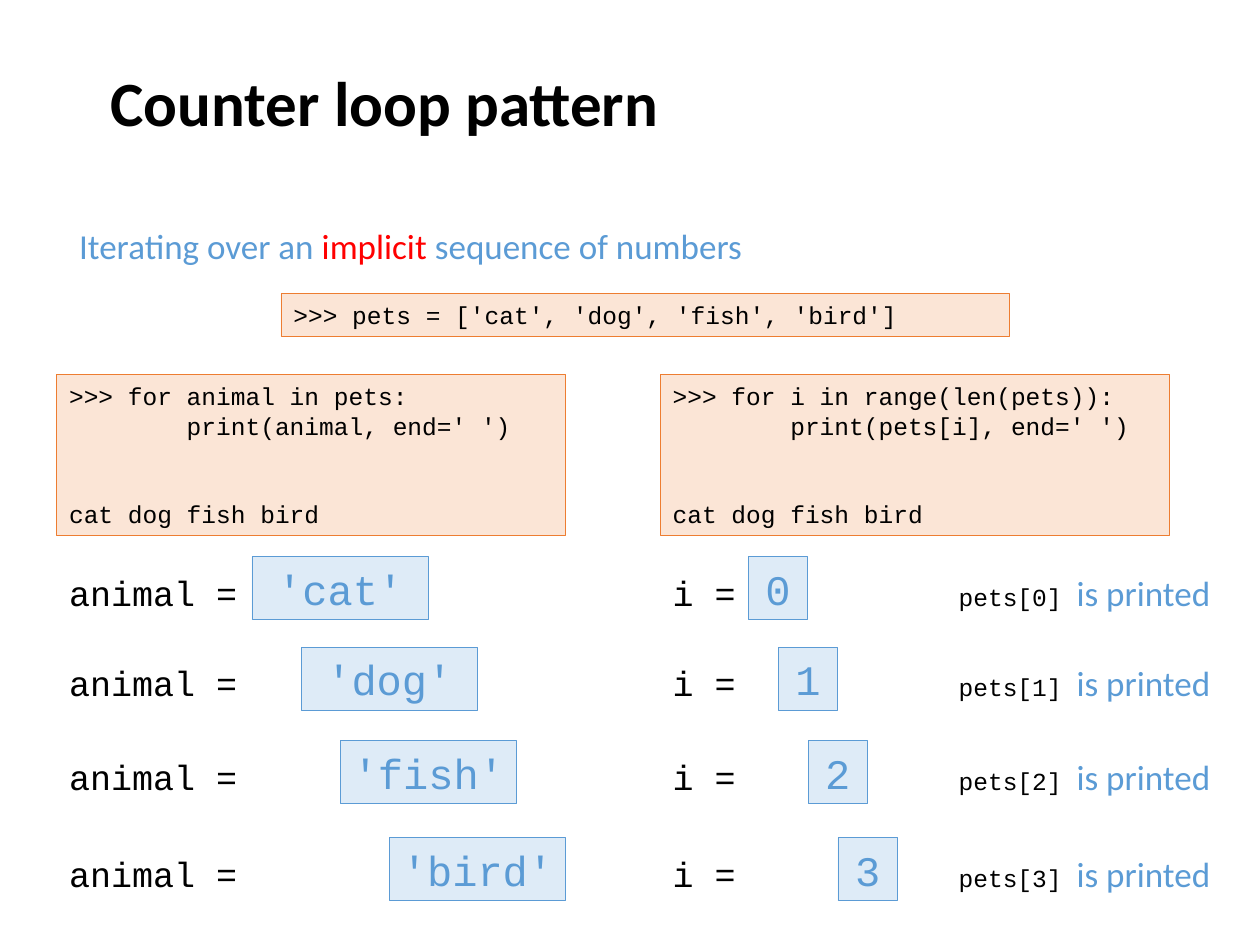
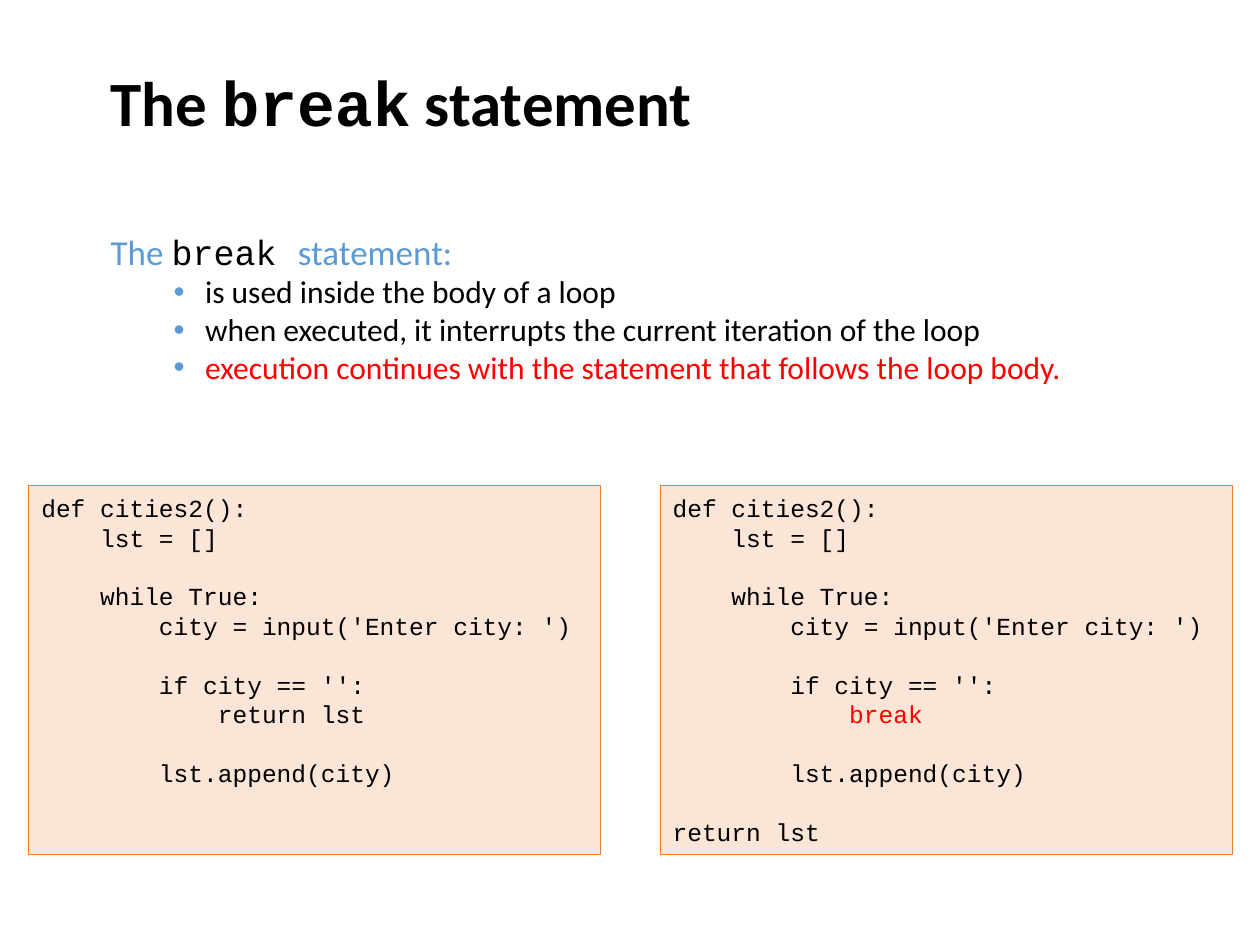
from lxml import etree
from pptx import Presentation
from pptx.dml.color import RGBColor
from pptx.enum.shapes import MSO_SHAPE as SHAPE
from pptx.enum.text import MSO_ANCHOR as ANCHOR, MSO_AUTO_SIZE as AUTO, PP_ALIGN as ALIGN
from pptx.oxml.ns import qn
from pptx.util import Inches, Pt

COLORS = {
    "black": "000000", "blue": "5B9BD5", "red": "FF0000",
    "code_fill": "FBE5D6", "code_line": "ED7D31", "value_fill": "DEEBF7",
}
SANS, MONO = "Calibri", "Courier New"
RIGHT_COLUMN = 5.24


def rgb(name):
    return RGBColor.from_string(COLORS[name])


def add_run(p, text, size, font=SANS, color="black", bold=False):
    r = p.add_run()
    r.text = text
    r.font.size, r.font.name, r.font.bold = Pt(size), font, bold
    r.font.color.rgb = rgb(color)


def paragraphs(tf, count):
    return [tf.paragraphs[0]] + [tf.add_paragraph() for _ in range(count - 1)]


def add_text(slide, x, y, w, h, wrap=True, grow=True):
    """Add an empty text box, vertically centred, and return its frame."""
    tf = slide.shapes.add_textbox(*map(Inches, (x, y, w, h))).text_frame
    tf.word_wrap = wrap
    tf.vertical_anchor = ANCHOR.MIDDLE
    tf.auto_size = AUTO.SHAPE_TO_FIT_TEXT if grow else AUTO.NONE
    return tf


def add_title(slide, *runs):
    p = add_text(slide, 0.78, 0, 8.5, 1.61, grow=False).paragraphs[0]
    for text, font in runs:
        add_run(p, text, 36, font, bold=True)


def add_box(slide, x, y, w, h, fill, line):
    """Add a thinly outlined rectangle and return its frame."""
    sp = slide.shapes.add_shape(SHAPE.RECTANGLE, *map(Inches, (x, y, w, h)))
    sp.shadow.inherit = False
    sp.fill.solid()
    sp.fill.fore_color.rgb = rgb(fill)
    sp.line.color.rgb = rgb(line)
    sp.line.width = Pt(0.5)
    tf = sp.text_frame
    tf.word_wrap = True
    tf.vertical_anchor = ANCHOR.MIDDLE
    return tf


def add_code(slide, x, y, w, h, code, highlight=None):
    tf = add_box(slide, x, y, w, h, "code_fill", "code_line")
    tf.auto_size = AUTO.SHAPE_TO_FIT_TEXT
    lines = code.split("\n")
    for p, line in zip(paragraphs(tf, len(lines)), lines):
        p.alignment = ALIGN.LEFT
        if line:
            color = "red" if line.strip() == highlight else "black"
            add_run(p, line, 14, MONO, color)
        else:
            end = etree.SubElement(p._p, qn("a:endParaRPr"), sz="1400")
            etree.SubElement(end, qn("a:latin"), typeface=MONO)


def add_value(slide, x, y, w, text):
    p = add_box(slide, x, y, w, 0.5, "value_fill", "blue").paragraphs[0]
    p.alignment = ALIGN.CENTER
    add_run(p, text, 24, MONO, "blue")


def add_label(slide, x, y, w, text):
    p = add_text(slide, x, y, w, 0.44, wrap=False).paragraphs[0]
    add_run(p, text, 20, MONO)


def set_bullet(p):
    pPr = p._p.get_or_add_pPr()
    pPr.set("marL", str(Inches(0.75)))
    pPr.set("indent", str(-Inches(0.25)))
    pPr.set("lvl", "1")
    color = etree.SubElement(pPr, qn("a:buClr"))
    etree.SubElement(color, qn("a:srgbClr"), val=COLORS["blue"])
    etree.SubElement(pPr, qn("a:buFont"), typeface="Arial")
    etree.SubElement(pPr, qn("a:buChar"), char="•")


def counter_loop_slide(slide):
    add_title(slide, ("Counter loop pattern", SANS))
    p = add_text(slide, 0.53, 1.73, 8.93, 0.44).paragraphs[0]
    add_run(p, "Iterating over an ", 20, color="blue")
    add_run(p, "implicit ", 20, color="red")
    add_run(p, "sequence of numbers", 20, color="blue")

    # The list and the two ways to loop over it
    add_code(slide, 2.23, 2.33, 5.78, 0.34,
             ">>> pets = ['cat', 'dog', 'fish', 'bird']")
    loops = [(0.45, "animal in pets", "animal"),
             (RIGHT_COLUMN, "i in range(len(pets))", "pets[i]")]
    for x, header, item in loops:
        add_code(slide, x, 2.97, 4.04, 1.28,
                 f">>> for {header}:\n        print({item}, end=' ')\n\n\n"
                 "cat dog fish bird")

    # One row per iteration: pet, its left edge, row top
    rows = [("cat", 2, 4.42), ("dog", 2.39, 5.14),
            ("fish", 2.7, 5.88), ("bird", 3.09, 6.65)]
    for i, (pet, pet_x, y) in enumerate(rows):
        label_y = y + 0.06
        add_value(slide, pet_x, y, 1.4, f"'{pet}'")
        add_label(slide, 0.45, label_y, 1.55, "animal =")
        add_value(slide, 5.94 + 0.237 * i, y, 0.47, str(i))
        add_label(slide, RIGHT_COLUMN, label_y, 0.71, "i =")
        p = add_text(slide, 7.51, label_y, 2.22, 0.44, wrap=False).paragraphs[0]
        add_run(p, f"pets[{i}] ", 14, MONO)
        add_run(p, "is printed", 20, color="blue")


def break_slide(slide):
    add_title(slide, ("The ", SANS), ("break", MONO), (" statement", SANS))

    # Two versions of the function, differing in how the loop ends
    body = """def cities2():
    lst = []

    while True:
        city = input('Enter city: ')

        if city == '':
            {}

        lst.append(city)

{}"""
    versions = [(0.23, "return lst", ""), (RIGHT_COLUMN, "break", "return lst")]
    for x, exit_line, last_line in versions:
        add_code(slide, x, 3.85, 4.54, 2.93,
                 body.format(exit_line, last_line), highlight="break")

    # Explanation
    points = [("is used inside the body of a loop", "black"),
              ("when executed, it interrupts the current iteration of the loop", "black"),
              ("execution continues with the statement that follows the loop body.", "red")]
    tf = add_text(slide, 0.78, 1.77, 8.5, 1.35)
    intro, *bullets = paragraphs(tf, len(points) + 1)
    add_run(intro, "The ", 20, color="blue")
    add_run(intro, "break ", 20, MONO)
    add_run(intro, "statement:", 20, color="blue")
    for p, (text, color) in zip(bullets, points):
        set_bullet(p)
        add_run(p, text, 18, color=color)


def main():
    prs = Presentation()
    prs.slide_width, prs.slide_height = Inches(10), Inches(7.5)
    blank = prs.slide_layouts[6]
    for build in (counter_loop_slide, break_slide):
        build(prs.slides.add_slide(blank))
    prs.save("out.pptx")


if __name__ == "__main__":
    main()
